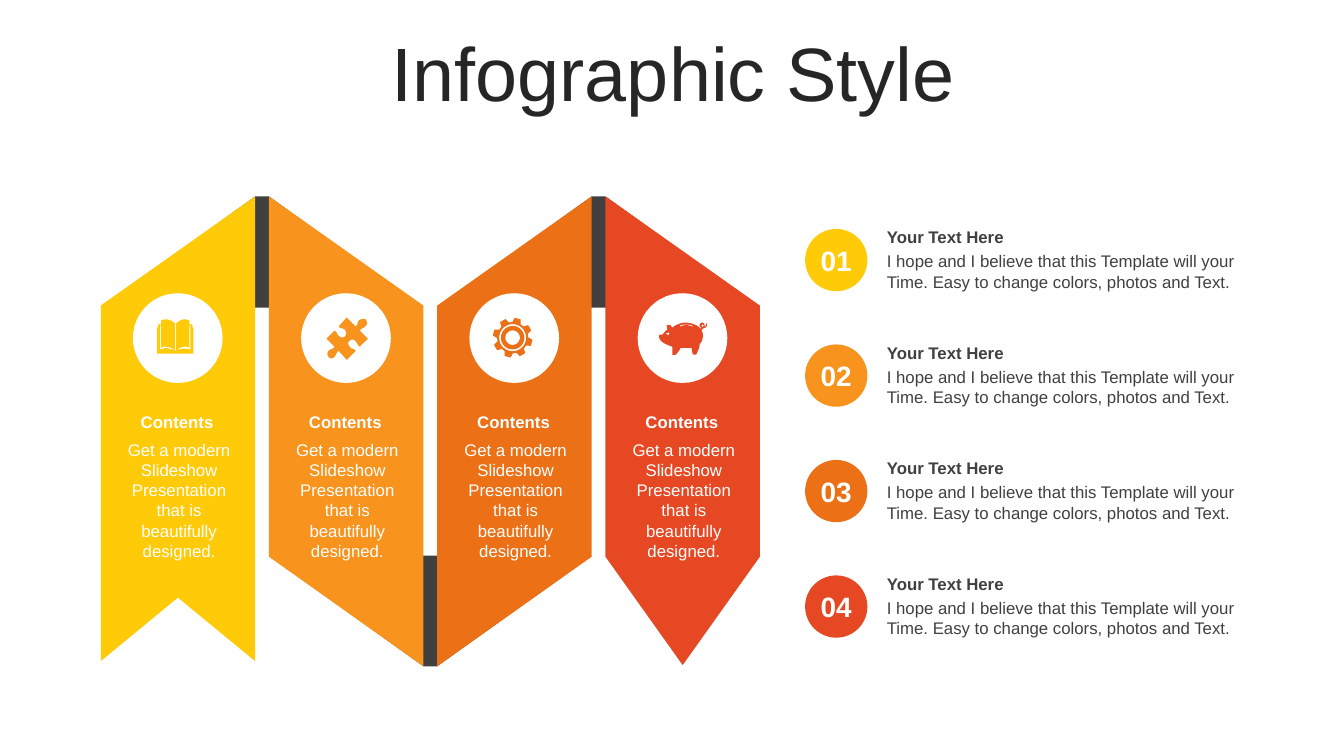
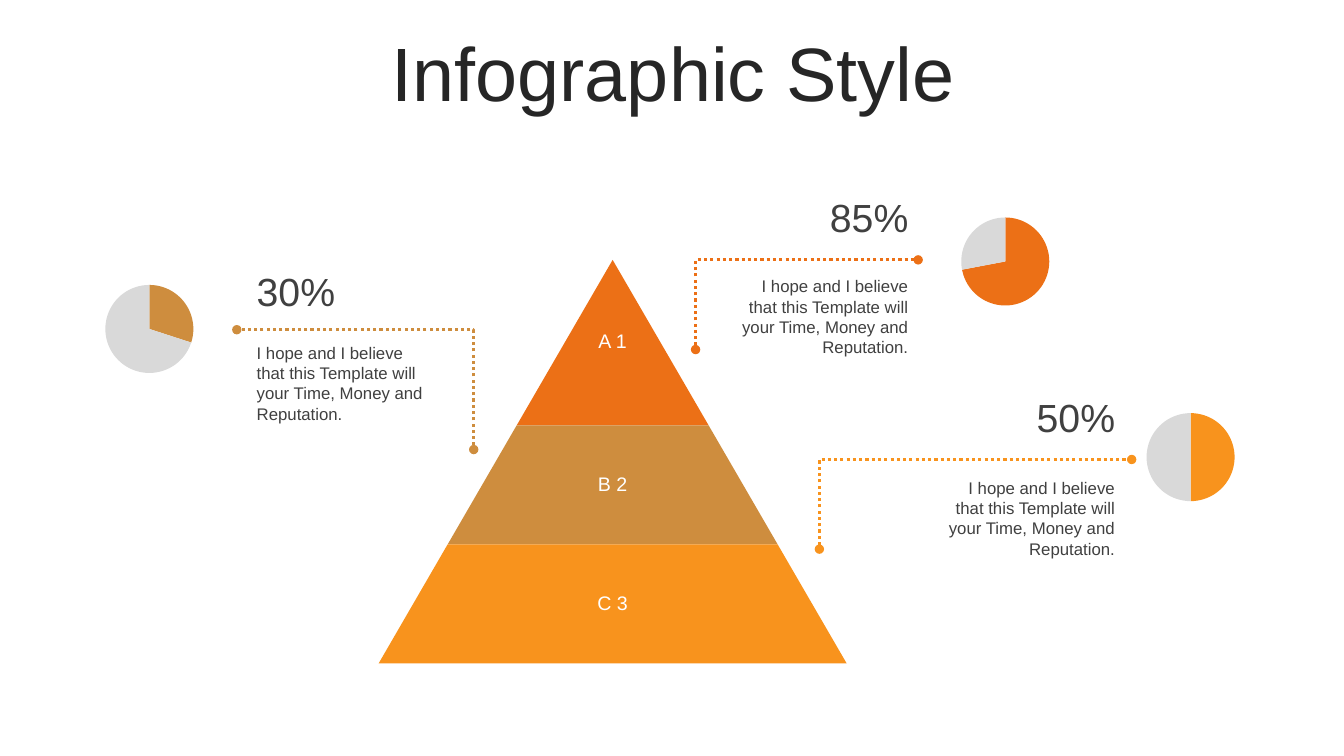
"""Build two infographic slides: folded ribbons and a pyramid with pie callouts."""
from math import cos, radians, sin

from lxml import etree
from pptx import Presentation
from pptx.chart.data import CategoryChartData
from pptx.dml.color import RGBColor
from pptx.enum.chart import XL_CHART_TYPE
from pptx.enum.dml import MSO_LINE
from pptx.enum.shapes import MSO_CONNECTOR, MSO_SHAPE
from pptx.enum.text import MSO_ANCHOR, PP_ALIGN
from pptx.oxml.ns import qn
from pptx.util import Cm, Pt

PIE = XL_CHART_TYPE.PIE
DOTTED = MSO_LINE.ROUND_DOT
ELBOW = MSO_CONNECTOR.ELBOW
OVAL, TRAPEZOID = MSO_SHAPE.OVAL, MSO_SHAPE.TRAPEZOID
TOP, MIDDLE = MSO_ANCHOR.TOP, MSO_ANCHOR.MIDDLE
LEFT, CENTER, RIGHT = PP_ALIGN.LEFT, PP_ALIGN.CENTER, PP_ALIGN.RIGHT

FONT = "Arial"
COLORS = {
    "title": "262626", "text": "404040", "white": "FFFFFF", "rest": "D9D9D9",
    "yellow": "FFCA08", "orange": "F8931D", "dark_orange": "EC7016",
    "red": "E64823", "ochre": "CE8D3E",
}
INSETS = (0.25, 0.13, 0.25, 0.13)

RIBBON_LEFT, RIBBON_PITCH, RIBBON_W = 2.54, 4.24, 3.89
RIBBON_TOP, SHOULDER, HEM, RIBBON_BOTTOM = 4.95, 7.7, 14.03, 16.79
RIBBONS = [
    ("yellow", [(1, RIBBON_TOP), (1, 16.66), (0.5, 15.06), (0, 16.66), (0, SHOULDER)]),
    ("orange", [(0, RIBBON_TOP), (1, SHOULDER), (1, RIBBON_BOTTOM), (0, HEM)]),
    ("dark_orange", [(1, RIBBON_TOP), (1, HEM), (0, RIBBON_BOTTOM), (0, SHOULDER)]),
    ("red", [(0, RIBBON_TOP), (1, SHOULDER), (1, HEM), (0.5, 16.76), (0, HEM)]),
]
RIBBON_TEXT = "Get a modern Slideshow Presentation that is beautifully designed."
ITEM_TEXT = ("I hope and I believe that this Template will your Time. "
             "Easy to change colors, photos and Text.")
CALLOUT_TEXT = ("I hope and I believe that this Template will your Time, "
                "Money and Reputation.")

ICON_UNIT = 2.54 / 100
BOOK = (
    "M18,31 C18,31,19,31,19,31 C24,29,27,28,33,30 L33,6 L32,6 C32,13,32,20,32,28 "
    "C28,26,23,27,19,31 L19,4 C21,2,24,0,27,0 C28,0,30,0,32,1 L32,5 L35,5 L35,8 "
    "L36,8 L36,34 L0,34 L0,8 L1,8 L1,5 L4,5 L4,1 C6,0,8,0,9,0 C13,0,15,2,18,4 "
    "L18,31 C13,27,9,26,4,28 L4,6 L3,6 L3,30 C9,27,12,29,18,31")
PUZZLE = (
    "M39,2 C40,4,41,7,39,8 C37,11,35,10,33,13 L41,21 L33,29 C30,27,31,25,28,23 "
    "C27,21,24,22,23,23 C21,24,21,27,23,29 C25,32,26,30,29,33 L20,42 L12,33 "
    "C9,36,10,36,8,39 C6,41,3,41,2,39 C1,38,0,35,2,33 C4,31,6,32,8,29 L0,21 L8,13 "
    "C11,15,10,17,13,19 C14,20,17,20,18,19 C20,17,20,14,18,12 C16,10,15,12,12,9 "
    "L20,0 L29,9 C32,6,30,5,32,3 C35,1,37,1,39,2")
PIG = (
    "M10,10 C9,10,8,10,8,11 C8,12,9,12,10,12 C10,12,11,12,11,11 C11,10,10,10,10,10 "
    "M44,2 C43,2,43,2,43,3 C43,4,43,4,44,4 C44,4,45,4,45,3 C45,2,44,2,44,2 "
    "M28,2 C25,2,23,2,21,3 L22,4 C25,2,30,2,34,4 L34,3 C32,2,30,2,28,2 "
    "M27,0 C32,0,38,2,41,5 L42,6 C42,6,42,6,43,5 C42,5,41,4,41,3 C41,1,42,0,44,0 "
    "C45,0,46,2,46,3 C46,4,46,3,46,4 C46,4,47,4,48,0 C49,4,47,5,44,6 "
    "C44,7,43,7,43,8 L44,10 C45,15,43,20,41,21 C41,26,39,28,38,31 "
    "C38,32,34,32,34,31 C34,29,33,27,33,25 C29,25,25,25,22,25 C21,28,19,30,17,32 "
    "L14,32 C14,32,14,27,14,24 C9,22,-1,19,1,12 C1,12,3,12,4,12 C6,10,7,8,9,7 "
    "C9,5,8,3,8,3 C12,1,12,3,14,5 C17,2,23,0,27,0")

PYRAMID_X, PYRAMID_TOP, PYRAMID_SLOPE = 15.44, 6.55, 0.58
PYRAMID = [("A 1", 4.17, "dark_orange"), ("B 2", 3, "ochre"), ("C 3", 3, "orange")]
CALLOUTS = [
    dict(percent="85%", share=72, color="dark_orange", align=RIGHT, pie=(23.14, 5.13),
         start=(17.53, 8.81), end=(23.14, 6.55), left=18.34, tops=(4.75, 6.83)),
    dict(percent="50%", share=50, color="orange", align=RIGHT, pie=(27.81, 10.06),
         start=(20.65, 13.84), end=(28.52, 11.58), left=23.55, tops=(9.78, 11.91)),
    dict(percent="30%", share=30, color="ochre", align=LEFT, pie=(1.57, 6.83),
         start=(11.94, 11.33), end=(5.97, 8.31), left=6.22, tops=(6.6, 8.51)),
]


def rgb(name):
    return RGBColor.from_string(COLORS[name])


def write(sp, text, size=12, color="text", bold=False, align=LEFT, anchor=TOP,
          insets=INSETS, spacing=None):
    tf = sp.text_frame
    tf.word_wrap = True
    tf.vertical_anchor = anchor
    tf.margin_left, tf.margin_top, tf.margin_right, tf.margin_bottom = map(Cm, insets)
    p = tf.paragraphs[0]
    p.alignment = align
    p.line_spacing = spacing
    r = p.add_run()
    r.text = text
    r.font.name, r.font.size, r.font.bold = FONT, Pt(size), bold
    r.font.color.rgb = rgb(color)


def add_text(s, x, y, w, h, text, **style):
    write(s.shapes.add_textbox(Cm(x), Cm(y), Cm(w), Cm(h)), text, **style)


def paint(sp, color):
    sp.shadow.inherit = False
    sp.fill.solid()
    sp.fill.fore_color.rgb = rgb(color)
    sp.line.fill.background()


def add_shape(s, kind, x, y, w, h, color):
    sp = s.shapes.add_shape(kind, Cm(x), Cm(y), Cm(w), Cm(h))
    paint(sp, color)
    return sp


def add_outline(s, contours, color):
    contours = [[(Cm(x), Cm(y)) for x, y in points] for points in contours]
    builder = s.shapes.build_freeform(*contours[0][0])
    for i, points in enumerate(contours):
        if i:
            builder.move_to(*points[0])
        builder.add_line_segments(points[1:], close=True)
    paint(builder.convert_to_shape(), color)


def bezier(points, steps=8):
    for i in range(1, steps + 1):
        t = i / steps
        weights = ((1 - t) ** 3, 3 * t * (1 - t) ** 2, 3 * t * t * (1 - t), t ** 3)
        yield tuple(sum(k * pt[axis] for k, pt in zip(weights, points))
                    for axis in (0, 1))


def trace(outline):
    contours = []
    for step in outline.split():
        nums = [int(n) for n in step[1:].split(",")]
        points = list(zip(nums[::2], nums[1::2]))
        if step[0] == "M":
            contours.append(points)
        elif step[0] == "L":
            contours[-1] += points
        else:
            contours[-1] += list(bezier([contours[-1][-1]] + points))
    return contours


def polar(radius, angle):
    return radius * cos(radians(angle)), radius * sin(radians(angle))


def gear():
    corners = [(15.5, -16), (19.8, -9), (19.8, 9), (15.5, 16)]
    teeth = [polar(radius, tooth * 45 - 75 + turn)
             for tooth in range(8) for radius, turn in corners]
    rings = [[polar(radius, angle) for angle in range(0, 360, 6)]
             for radius in (13.4, 11.6, 7.2)]
    return [teeth] + rings


def add_icon(s, contours, x, y, color):
    add_outline(s, [[(x + px * ICON_UNIT, y + py * ICON_UNIT) for px, py in points]
                    for points in contours], color)


def add_fold(s, x, base, tip):
    add_outline(s, [[(x, base), (x + RIBBON_W, tip), (x + RIBBON_PITCH, tip),
                     (x + RIBBON_PITCH + RIBBON_W, base)]], "text")


def add_ribbon(s, x, color, corners):
    add_outline(s, [[(x + RIBBON_W * part, y) for part, y in corners]], color)
    add_shape(s, OVAL, x + 0.81, 7.39, 2.26, 2.26, "white")
    add_text(s, x + 0.2, 10.24, 3.45, 0.77, "Contents", bold=True,
             color="white", align=CENTER)
    add_text(s, x + 0.25, 10.95, 3.45, 3.33, RIBBON_TEXT, color="white", align=CENTER)


def add_item(s, number, y, color):
    sp = add_shape(s, OVAL, 20.29, y, 1.57, 1.57, color)
    write(sp, f"{number:02}", size=20, color="white", bold=True, align=CENTER,
          anchor=MIDDLE, insets=(0, 0, 0, 0))
    add_text(s, 22.1, y - 0.18, 9.6, 0.77, "Your Text Here", bold=True)
    add_text(s, 22.1, y + 0.43, 9.6, 1.28, ITEM_TEXT)


def add_pyramid(s):
    depth = 0
    for label, h, color in PYRAMID:
        y = PYRAMID_TOP + depth
        depth += h
        half = depth * PYRAMID_SLOPE
        box = (PYRAMID_X - half, y, 2 * half, h)
        sp = add_shape(s, TRAPEZOID, *box, color)
        sp.adjustments[0] = PYRAMID_SLOPE
        add_text(s, *box, label, size=14, color="white", align=CENTER,
                 anchor=MIDDLE, insets=(0.05,) * 4, spacing=0.9)


def add_leader(s, start, end, color):
    line = s.shapes.add_connector(ELBOW, *map(Cm, start + end))
    line.line.color.rgb = rgb(color)
    line.line.width = Pt(2.25)
    line.line.dash_style = DOTTED
    pr = line._element.spPr
    guide = etree.SubElement(pr.find(".//" + qn("a:avLst")), qn("a:gd"))
    guide.set("name", "adj1")
    guide.set("fmla", "val 0")
    for tag in ("a:headEnd", "a:tailEnd"):
        etree.SubElement(pr.find(qn("a:ln")), qn(tag)).set("type", "oval")
    etree.SubElement(pr, qn("a:effectLst"))


def add_pie(s, x, y, share, color):
    data = CategoryChartData()
    data.categories = ["1", "2"]
    data.add_series("Series 1", (share, 100 - share))
    chart = s.shapes.add_chart(PIE, Cm(x), Cm(y), Cm(4.39), Cm(2.92), data).chart
    chart.has_title = chart.has_legend = False
    chart.font.name, chart.font.size = FONT, Pt(18)
    plot = chart.plots[0]
    plot.vary_by_categories = True
    for i, name in enumerate((color, "rest")):
        fmt = plot.series[0].points[i].format
        fmt.fill.solid()
        fmt.fill.fore_color.rgb = rgb(name)
        fmt.line.fill.background()


def add_callout(s, percent, share, color, align, pie, start, end, left, tops):
    add_pie(s, *pie, share, color)
    add_leader(s, start, end, color)
    add_text(s, left, tops[0], 4.8, 1.45, percent, size=28, align=align, anchor=MIDDLE)
    add_text(s, left, tops[1], 4.8, 2.31, CALLOUT_TEXT, align=align)


def new_slide(prs, title):
    s = prs.slides.add_slide(prs.slide_layouts[6])
    add_text(s, 0.89, 0.94, 32.16, 2.01, title, size=54, color="title",
             align=CENTER, anchor=MIDDLE, spacing=0.9)
    return s


def ribbon_slide(prs):
    s = new_slide(prs, "Infographic Style")
    lefts = [RIBBON_LEFT + i * RIBBON_PITCH for i in range(len(RIBBONS))]
    add_fold(s, lefts[0], 7.75, RIBBON_TOP)
    add_fold(s, lefts[1], 14, RIBBON_BOTTOM)
    add_fold(s, lefts[2], 7.75, RIBBON_TOP)
    for i, (color, corners) in enumerate(RIBBONS):
        add_ribbon(s, lefts[i], color, corners)
        add_item(s, i + 1, 5.77 + i * 2.91, color)
    add_icon(s, trace(BOOK), 3.96, 8.05, "yellow")
    add_icon(s, trace(PUZZLE), 8.23, 8, "orange")
    add_icon(s, gear(), 12.92, 8.51, "dark_orange")
    add_icon(s, trace(PIG), 16.59, 8.13, "red")


def pyramid_slide(prs):
    s = new_slide(prs, "Infographic Style")
    add_pyramid(s)
    for callout in CALLOUTS:
        add_callout(s, **callout)


def main():
    prs = Presentation()
    prs.slide_width, prs.slide_height = Cm(33.87), Cm(19.05)
    ribbon_slide(prs)
    pyramid_slide(prs)
    prs.save("out.pptx")


if __name__ == "__main__":
    main()
